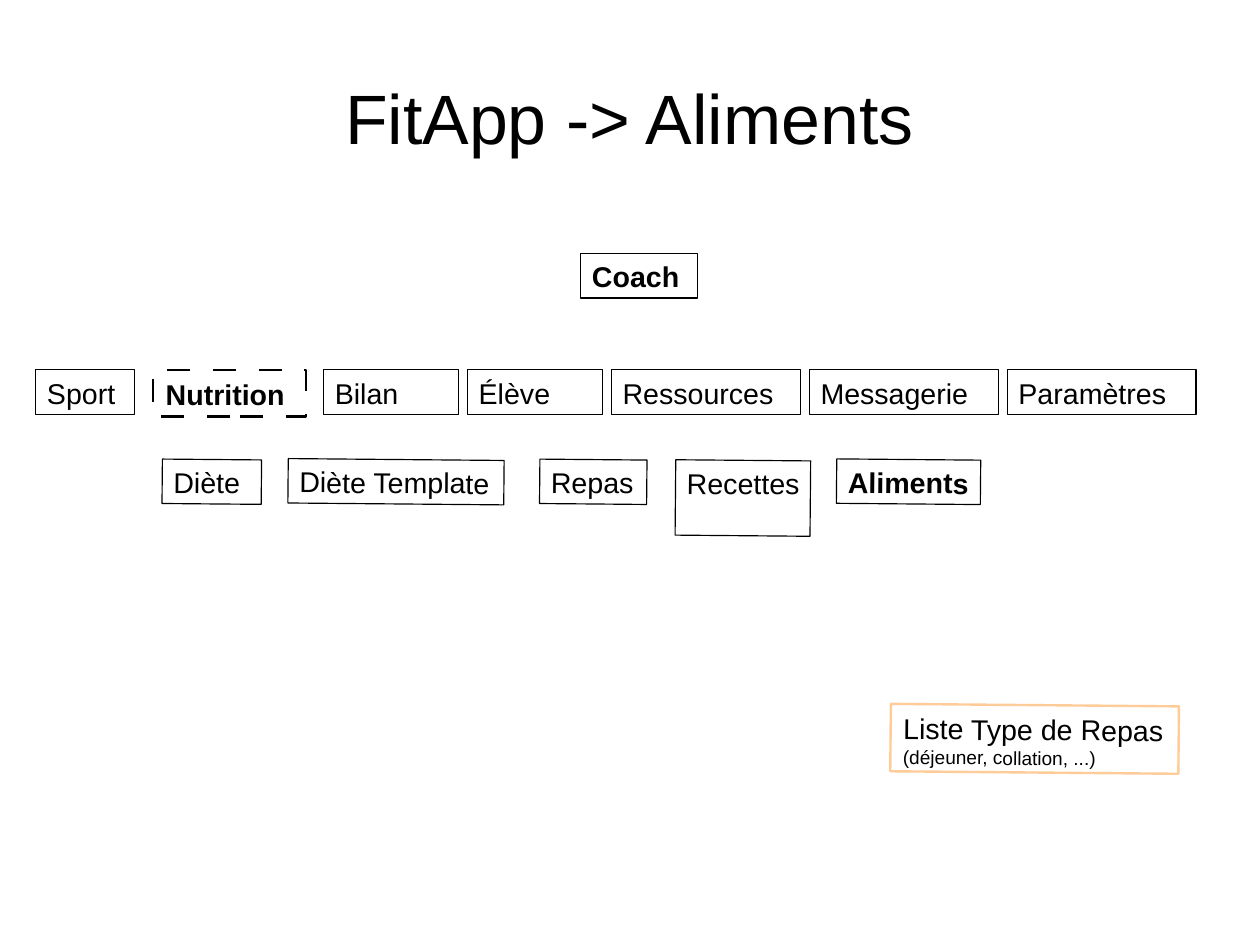
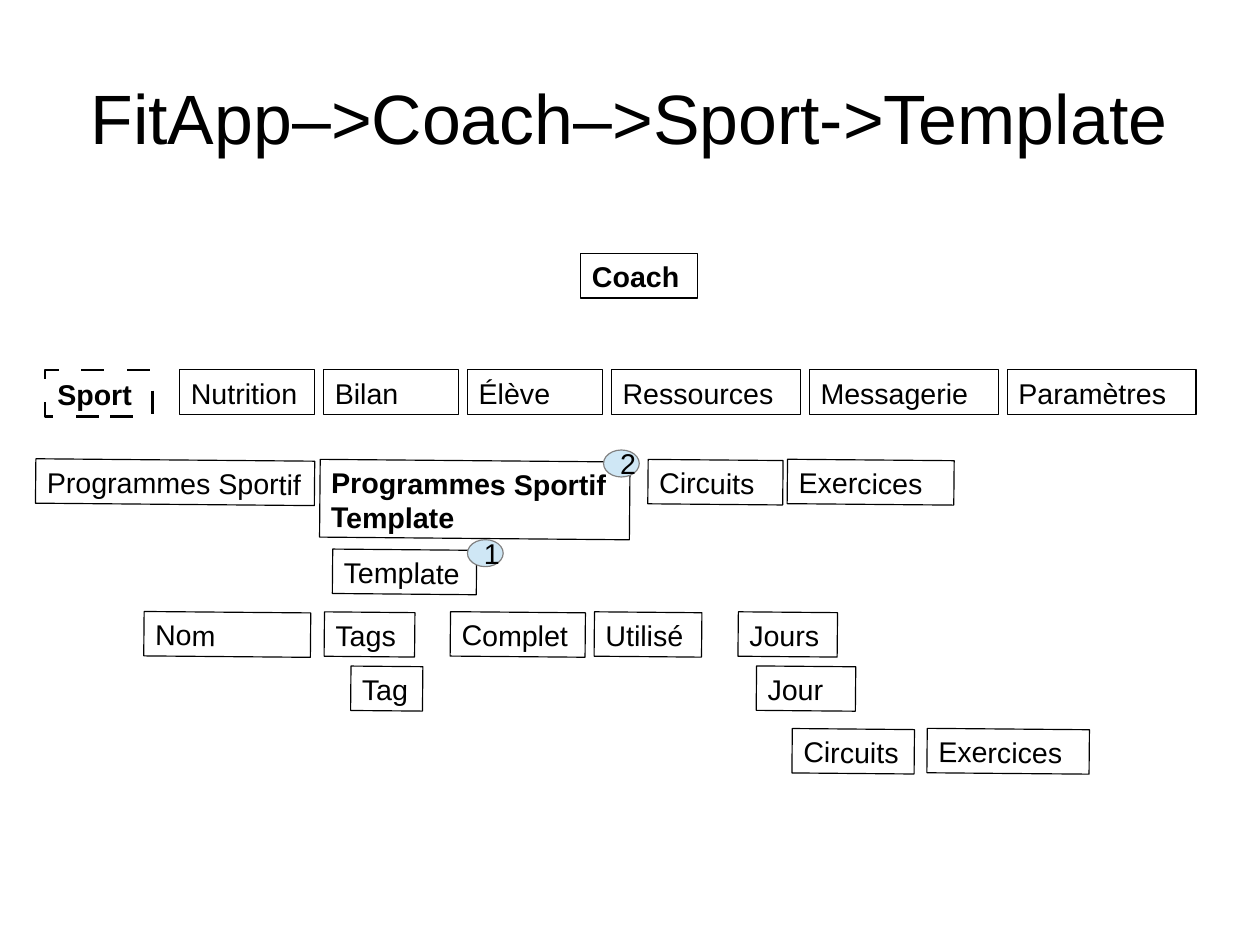
"""Build the two navigation slides of the coaching application."""
from lxml import etree
from pptx import Presentation
from pptx import util as u
from pptx.dml import color
from pptx.enum import shapes, text
from pptx.oxml import ns

FONT = "Arial"
BLACK, GREY, ORANGE, BLUE = "000000", "808080", "FFCC99", "CFE7F5"
TEXT_SIZE, SMALL_SIZE, TITLE_SIZE = 18, 12, 44
BOX_HEIGHT, CURRENT_HEIGHT = 28, 29.5
HAIRLINE, THICK = 0, 1.5
TILT = 0.5
NAV_TOP, NAV_LEFT, NAV_GAP = 233, 203.8, 5.67
NAV_ITEMS = [("Bilan", 85), ("Élève", 85), ("Ressources", 119),
             ("Messagerie", 119), ("Paramètres", 119)]


def paint(target, value):
    """Give a fill or font colour format a hex colour."""
    target.rgb = color.RGBColor.from_string(value)


def style_paragraph(para, size=TEXT_SIZE, bold=False):
    """Set the shared font on a paragraph."""
    para.font.name = FONT
    para.font.size = u.Pt(size)
    para.font.bold = bold
    paint(para.font.color, BLACK)


def place(shape, left, top, width, height):
    """Move and size a shape, in points."""
    shape.left, shape.top = u.Pt(left), u.Pt(top)
    shape.width, shape.height = u.Pt(width), u.Pt(height)


def add_page(deck, title):
    """Add a slide with the shared title style and the Coach box."""
    page = deck.slides.add_slide(deck.slide_layouts[5])
    place(page.shapes.title, 39.6, 23.8, 714.2, 99.4)
    frame = page.shapes.title.text_frame
    frame.text = title
    frame.auto_size = text.MSO_AUTO_SIZE.NONE
    frame.vertical_anchor = text.MSO_ANCHOR.MIDDLE
    frame.margin_left = frame.margin_right = 0
    frame.margin_top = frame.margin_bottom = 0
    style_paragraph(frame.paragraphs[0], TITLE_SIZE)
    frame.paragraphs[0].alignment = text.PP_ALIGN.CENTER
    add_box(page, "Coach", 365.8, 159.8, 73.4, bold=True)
    return page


def add_outline(page, kind, area, line_color, line_width):
    """Add an unfilled preset shape with a line and no shadow."""
    shape = page.shapes.add_shape(kind, 0, 0, 0, 0)
    place(shape, *area)
    shape.shadow.inherit = False
    shape.fill.background()
    paint(shape.line.color, line_color)
    shape.line.width = u.Pt(line_width)
    shape.text_frame.word_wrap = True
    return shape


def add_box(page, label, left, top, width, height=BOX_HEIGHT, bold=False,
            tilt=0, line_color=BLACK, line_width=HAIRLINE):
    """Add an outlined box with its label at the top left."""
    box = add_outline(page, shapes.MSO_SHAPE.RECTANGLE,
                      (left, top, width, height), line_color, line_width)
    box.rotation = tilt
    frame = box.text_frame
    frame.vertical_anchor = text.MSO_ANCHOR.TOP
    frame.margin_left = u.Pt(7.2 + line_width / 2)
    frame.margin_top = u.Pt(3.6 + line_width / 2)
    frame.margin_right = frame.margin_bottom = 0
    para = frame.paragraphs[0]
    para.text = label
    para.alignment = text.PP_ALIGN.LEFT
    style_paragraph(para, bold=bold)
    return box


def add_current(page, label, left, width):
    """Add the dashed box of the current section."""
    box = add_box(page, label, left, NAV_TOP, width, CURRENT_HEIGHT,
                  bold=True, line_width=THICK)
    line = box.line._get_or_add_ln()
    dashes = etree.SubElement(line, ns.qn("a:custDash"))
    etree.SubElement(dashes, ns.qn("a:ds"), d="960000", sp="960000")


def add_nav(page, items, left=NAV_LEFT):
    """Add section boxes side by side with equal gaps."""
    for label, width in items:
        add_box(page, label, left, NAV_TOP, width)
        left += width + NAV_GAP


def add_row(page, top, items):
    """Add tilted boxes that share a top."""
    for label, left, width in items:
        add_box(page, label, left, top, width, tilt=TILT)


def add_badge(page, label, left, top):
    """Add a small numbered ellipse."""
    badge = add_outline(page, shapes.MSO_SHAPE.OVAL,
                        (left, top, 22.5, 17), GREY, HAIRLINE)
    badge.fill.solid()
    paint(badge.fill.fore_color, BLUE)
    badge.text_frame.vertical_anchor = text.MSO_ANCHOR.MIDDLE
    para = badge.text_frame.paragraphs[0]
    para.text = label
    para.alignment = text.PP_ALIGN.CENTER
    style_paragraph(para)


def build_foods(deck):
    """Build the Aliments slide."""
    page = add_page(deck, "FitApp -> Aliments")
    add_box(page, "Sport", 22.5, NAV_TOP, 62.5)
    add_current(page, "Nutrition", 96.5, 96.5)
    add_nav(page, NAV_ITEMS)
    add_row(page, 289.5, [("Diète", 102.2, 62.5),
                          ("Diète Template", 181.5, 136),
                          ("Repas", 340, 67.5)])
    add_box(page, "Recettes", 425.5, 290, 85, 47.5, tilt=TILT)
    add_box(page, "Aliments", 527, 289.5, 90.7, bold=True, tilt=TILT)
    meals = add_box(page, "Liste Type de Repas\v", 561, 444.2, 181.5, 42.5,
                    tilt=TILT, line_color=ORANGE, line_width=THICK)
    span = meals.text_frame.paragraphs[0].add_run()
    span.text = "(déjeuner, collation, ...)"
    span.font.size = u.Pt(SMALL_SIZE)


def build_template(deck):
    """Build the sport template slide."""
    page = add_page(deck, "FitApp–>Coach–>Sport->Template")
    add_current(page, "Sport", 28.2, 67.8)
    nutrition = ("Nutrition", 85)
    add_nav(page, [nutrition] + NAV_ITEMS, NAV_LEFT - nutrition[1] - NAV_GAP)
    add_row(page, 289.8, [("Programmes Sportif", 22.5, 175.7),
                          ("Circuits", 408.2, 85),
                          ("Exercices", 496, 105)])
    add_box(page, "Programmes Sportif\vTemplate", 201.5, 290.2, 195.2, 49,
            bold=True, tilt=TILT)
    add_row(page, 346.3, [("Template", 209.5, 90.7)])
    add_row(page, 385.7, [("Nom", 90.7, 105), ("Tags", 204.3, 57),
                          ("Complet", 283.7, 85), ("Utilisé", 374.4, 67.7),
                          ("Jours", 465, 62.5)])
    add_row(page, 419.8, [("Tag", 221, 45.3), ("Jour", 476.5, 62.5)])
    add_row(page, 459.3, [("Circuits", 499, 77), ("Exercices", 584, 102.2)])
    add_badge(page, "1", 294.5, 340)
    add_badge(page, "2", 380.2, 283.5)


def main():
    """Build and save the deck."""
    deck = Presentation()
    deck.slide_width, deck.slide_height = u.Pt(793.7), u.Pt(595.3)
    build_foods(deck)
    build_template(deck)
    deck.save("out.pptx")


if __name__ == "__main__":
    main()
